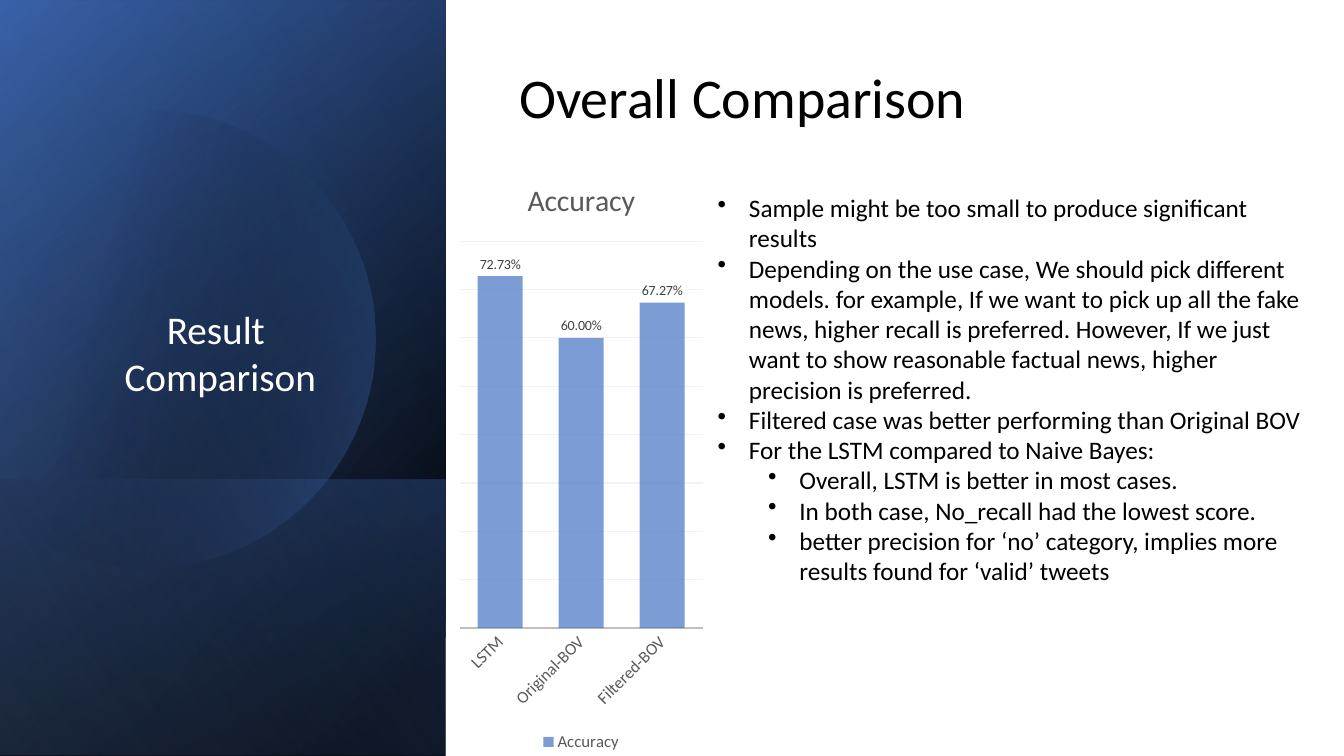
import math
from lxml import etree
from pptx import Presentation
from pptx.chart.data import CategoryChartData
from pptx.dml.color import RGBColor
from pptx.enum import chart as chart_enum, shapes, text
from pptx.oxml import parse_xml
from pptx.oxml.ns import nsdecls, qn
from pptx.util import Inches, Pt

FONT = "Calibri"
BLACK = RGBColor(0x00, 0x00, 0x00)
WHITE = RGBColor(0xFF, 0xFF, 0xFF)
BLUE = RGBColor(0x44, 0x72, 0xC4)
DARK_BLUE = RGBColor(0x2F, 0x55, 0x97)
LIGHT_BLUE = RGBColor(0x8F, 0xAA, 0xDC)
GRAY = RGBColor(0x59, 0x59, 0x59)
LABEL_GRAY = RGBColor(0x40, 0x40, 0x40)
AXIS_GRAY = RGBColor(0xBF, 0xBF, 0xBF)
GRID_GRAY = RGBColor(0xF2, 0xF2, 0xF2)


def fill_gradient(shape, stops, angle):
    """Fill with (position %, colour, opacity %) stops, without line or shadow."""
    shape.shadow.inherit = False
    shape.line.fill.background()
    shape.fill.background()
    stop_xml = "".join(
        f'<a:gs pos="{position * 1000}"><a:srgbClr val="{color}">'
        f'<a:alpha val="{opacity * 1000}"/></a:srgbClr></a:gs>'
        for position, color, opacity in stops)
    gradient = parse_xml(
        f'<a:gradFill {nsdecls("a")} rotWithShape="1"><a:gsLst>{stop_xml}</a:gsLst>'
        f'<a:lin ang="{angle * 60000}" scaled="0"/></a:gradFill>')
    properties = shape.element.spPr
    properties.replace(properties.find(qn("a:noFill")), gradient)


def add_text(left, top, width, height, lines, size, color):
    box = slide.shapes.add_textbox(Inches(left), Inches(top), Inches(width), Inches(height))
    frame = box.text_frame
    frame.word_wrap = True
    frame.text = "\n".join(lines)
    for paragraph in frame.paragraphs:
        paragraph.font.name = FONT
        paragraph.font.size = Pt(size)
        paragraph.font.color.rgb = color
    return frame


presentation = Presentation()
presentation.slide_width = Inches(13.33)
presentation.slide_height = Inches(7.5)
slide = presentation.slides.add_slide(presentation.slide_layouts[6])

# Left panel: rotated gradient layers, with the disc below the last one
layers = [
    (-1.54, 1.54, 7.5, [(8, BLACK, 100), (100, DARK_BLUE, 100)], 50),
    (-1.54, 1.55, 7.5, [(0, BLACK, 0), (99, BLUE, 46)], 30),
    (0.84, 3.92, 2.74, [(2, BLUE, 29), (100, BLACK, 30)], 130),
    None,
    (-1.54, 1.53, 7.5, [(0, BLACK, 0), (99, LIGHT_BLUE, 11)], 120),
]
for layer in layers:
    if layer:
        left, top, width, stops, angle = layer
        panel = slide.shapes.add_shape(
            shapes.MSO_SHAPE.RECTANGLE, Inches(left), Inches(top), Inches(width), Inches(4.42))
        panel.rotation = 90
        panel.element.spPr.xfrm.set("flipH", "1")
        fill_gradient(panel, stops, angle)
    else:
        # Disc cut off at the slide's left edge
        center_x, center_y, radius = 1.45, 3.36, 2.27
        reach = math.acos(-center_x / radius)
        angles = [reach * (step / 60 - 1) for step in range(121)]
        points = [(Inches(center_x + radius * math.cos(a)),
                   Inches(center_y + radius * math.sin(a))) for a in angles]
        builder = slide.shapes.build_freeform(*points[0])
        builder.add_line_segments(points[1:], close=True)
        fill_gradient(builder.convert_to_shape(), [(29, BLACK, 0), (100, BLUE, 43)], 14)

# Headings
title = add_text(5.05, 0.49, 8.28, 0.85, ["Overall Comparison"], 40, BLACK)
title.vertical_anchor = text.MSO_ANCHOR.BOTTOM
title.paragraphs[0].line_spacing = 0.9
section = add_text(0.9, 2.98, 2.57, 1.04, ["Result ", "Comparison"], 28, WHITE)
for paragraph in section.paragraphs:
    paragraph.alignment = text.PP_ALIGN.CENTER

# Accuracy chart
data = CategoryChartData(number_format="0.00%")
data.categories = ["LSTM", "Original-BOV", "Filtered-BOV"]
data.add_series("Accuracy", [0.7273, 0.6, 0.6727])
chart = slide.shapes.add_chart(
    chart_enum.XL_CHART_TYPE.COLUMN_CLUSTERED,
    Inches(4.51), Inches(1.56), Inches(2.51), Inches(5.94), data).chart
chart.has_title = True
chart.chart_title.text_frame.text = "Accuracy"
chart.has_legend = True
chart.legend.position = chart_enum.XL_LEGEND_POSITION.BOTTOM
chart.legend.include_in_layout = False

plot = chart.plots[0]
plot.gap_width = 80
plot.overlap = 25
plot.vary_by_categories = False
plot.has_data_labels = True
labels = plot.data_labels
labels.show_value = True
labels.number_format = "0.00%"
labels.number_format_is_linked = False
labels.position = chart_enum.XL_LABEL_POSITION.OUTSIDE_END

bars = plot.series[0].format.fill
bars.solid()
bars.fore_color.rgb = BLUE
bar_color = plot.series[0]._element.spPr.find(".//" + qn("a:srgbClr"))
etree.SubElement(bar_color, qn("a:alpha")).set("val", "70000")

category_axis = chart.category_axis
category_axis.major_tick_mark = chart_enum.XL_TICK_MARK.NONE
category_axis.format.line.color.rgb = AXIS_GRAY
category_axis.format.line.width = Pt(1.25)
value_axis = chart.value_axis
value_axis.visible = False
value_axis.minimum_scale = 0
value_axis.maximum_scale = 0.8
value_axis.major_unit = 0.1
value_axis.major_gridlines.format.line.color.rgb = GRID_GRAY
value_axis.major_gridlines.format.line.width = Pt(0.75)

chart_fonts = [
    (chart.chart_title.text_frame.paragraphs[0].font, 21.3, GRAY),
    (chart.legend.font, 12, GRAY),
    (category_axis.tick_labels.font, 12, GRAY),
    (labels.font, 10, LABEL_GRAY),
]
for font, size, color in chart_fonts:
    font.name = FONT
    font.size = Pt(size)
    font.bold = False
    font.color.rgb = color
category_axis._element.find(qn("c:txPr")).find(qn("a:bodyPr")).set("rot", "-2700000")

# Findings: (level, text)
findings = [
    (0, "Sample might be too small to produce significant results"),
    (0, "Depending on the use case, We should pick different models. for example, "
        "If we want to pick up all the fake news, higher recall is preferred. However, "
        "If we just want to show reasonable factual news, higher precision is preferred."),
    (0, "Filtered case was better performing than Original BOV"),
    (0, "For the LSTM compared to Naive Bayes:"),
    (1, "Overall, LSTM is better in most cases."),
    (1, "In both case, No_recall had the lowest score."),
    (1, "better precision for ‘no’ category, implies more results found for ‘valid’ tweets"),
]
frame = add_text(7.02, 1.86, 6.05, 4.65, [line for _, line in findings], 18, BLACK)
for paragraph, (level, _) in zip(frame.paragraphs, findings):
    paragraph.level = level
    properties = paragraph._p.get_or_add_pPr()
    properties.set("marL", str(Inches(0.31 + 0.5 * level)))
    properties.set("indent", str(Inches(-0.31)))
    bullet = parse_xml(f'<a:buChar {nsdecls("a")} char="•"/>')
    properties.find(qn("a:defRPr")).addprevious(bullet)

presentation.save("out.pptx")
